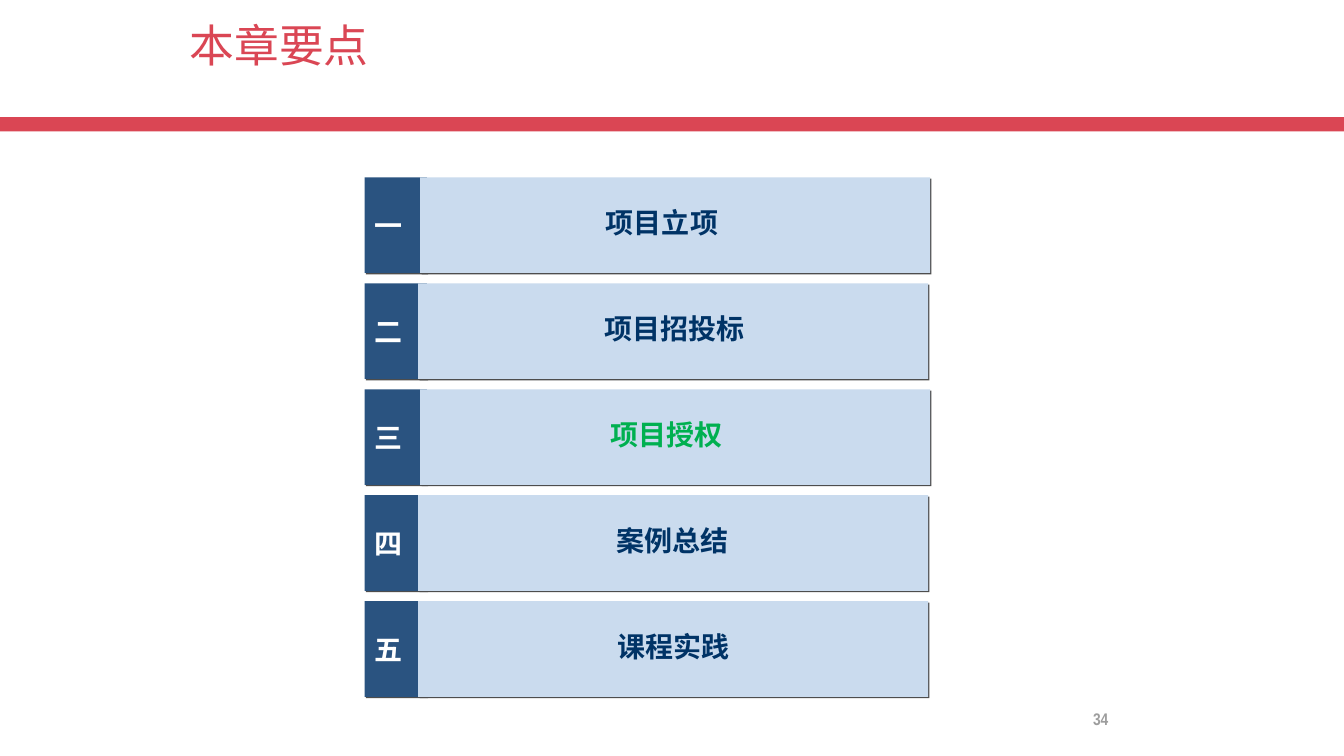
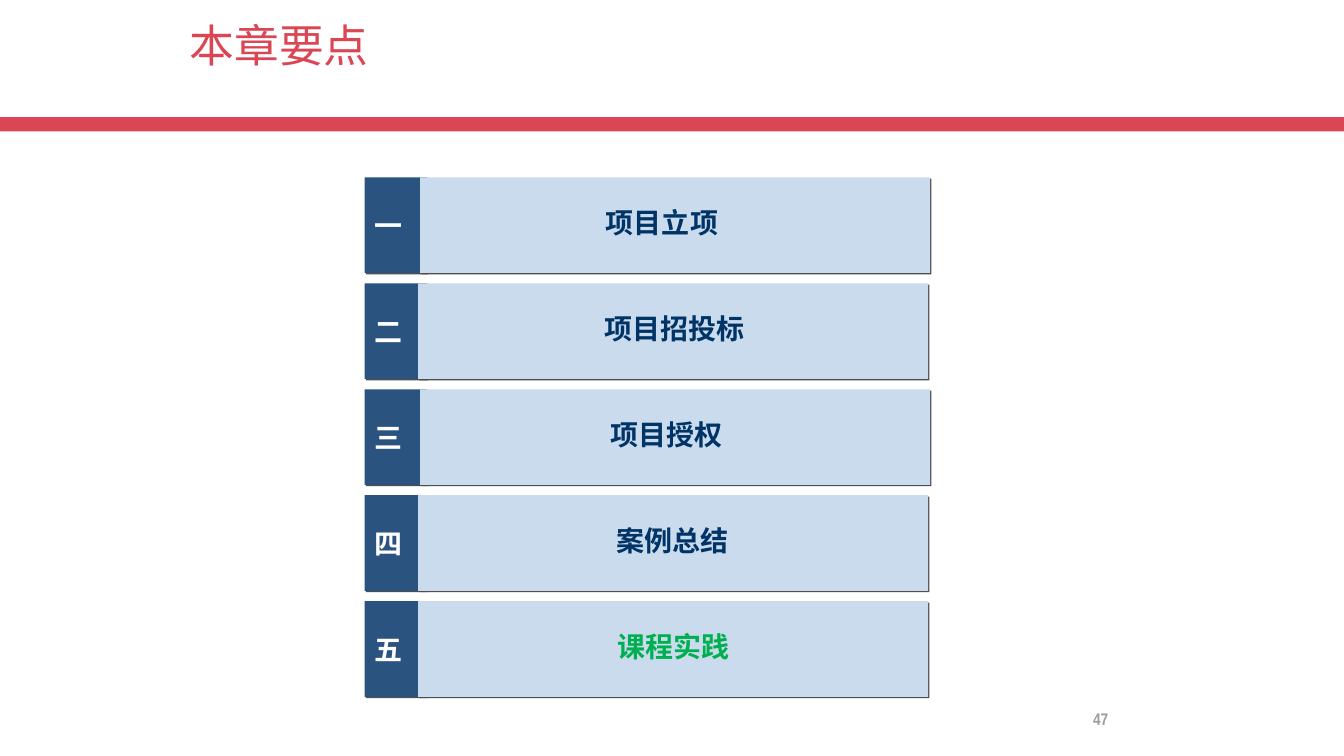
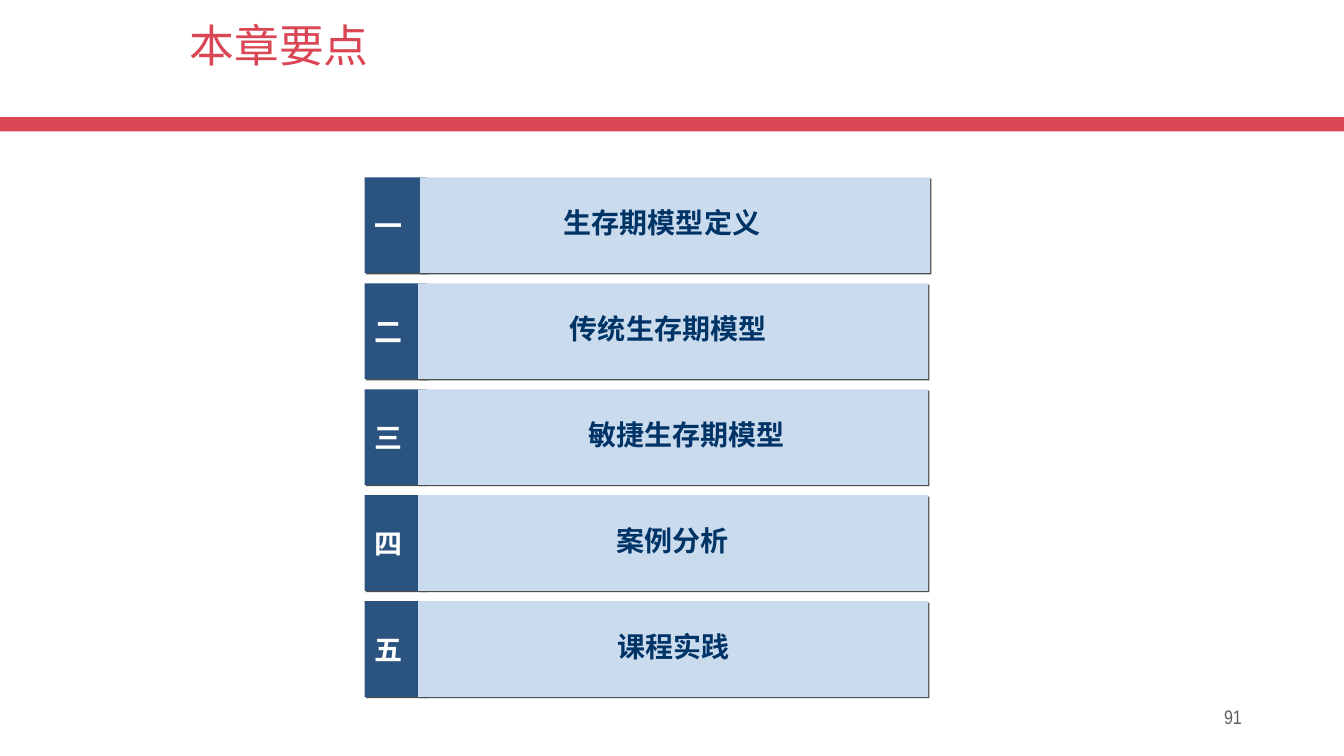
from lxml import etree
from pptx import Presentation
from pptx.dml.color import RGBColor
from pptx.enum.shapes import MSO_SHAPE
from pptx.enum.text import MSO_ANCHOR, MSO_AUTO_SIZE, PP_ALIGN
from pptx.oxml.ns import qn
from pptx.util import Cm, Pt

RECT, ROUNDED = MSO_SHAPE.RECTANGLE, MSO_SHAPE.ROUNDED_RECTANGLE
TOP, MIDDLE = MSO_ANCHOR.TOP, MSO_ANCHOR.MIDDLE
LEFT, CENTER, RIGHT = PP_ALIGN.LEFT, PP_ALIGN.CENTER, PP_ALIGN.RIGHT
NO_AUTOFIT = MSO_AUTO_SIZE.NONE
TITLE_ONLY = 5

RED, NAVY, PALE = "DA4654", "2A5380", "CADBEE"
INK, GREEN, WHITE, SHADOW = "003366", "00B050", "FFFFFF", "4D4D4D"
CJK, NARROW = "Noto Sans CJK SC", "Arial Narrow"

TITLE_TEXT = dict(size=32, color=RED, bold=False, anchor=TOP, spacing=0.9)
NUMBER_TEXT = dict(size=20, color=WHITE, bold=True)
LABEL_TEXT = dict(size=20, bold=True, align=CENTER)
BOLD_PAGE = dict(size=12, color="9D9D9D", bold=True, font=NARROW,
                 align=CENTER, spacing=0.8)
PLAIN_PAGE = dict(size=14, color="5F5F5F", font=NARROW, align=RIGHT, anchor=TOP)

NUMERALS = "一二三四五"
FIRST_ROW, ROW_PITCH, ROW_HEIGHT = 4.47, 2.67, 2.41
NUMBER_LEFT, NUMBER_WIDTH = 9.19, 1.57
WIDE_BAR, NARROW_BAR, BAR_WIDTH = 10.59, 10.54, 12.85
LABEL_DROP, LABEL_HEIGHT = 0.27, 1.73

# Each row: left of bar, left and width of label, extra right inset of label
PROJECT_ROWS = [
    (WIDE_BAR, 10.59, 12.19, 0),
    (NARROW_BAR, 11, 12.19, 0.17),
    (WIDE_BAR, 10.8, 12.01, 0),
    (NARROW_BAR, 11.51, 11.2, 0.34),
    (NARROW_BAR, 11.38, 11.2, 0),
]
MODEL_ROWS = PROJECT_ROWS.copy()
MODEL_ROWS[1] = (NARROW_BAR, 11, 12.19, 0.51)
MODEL_ROWS[2] = (NARROW_BAR, 11.02, 12.9, 0.34)

PROJECT_TOPICS = ["项目立项", "项目招投标", "项目授权", "案例总结", "课程实践"]
MODEL_TOPICS = ["生存期模型定义", "传统生存期模型", "敏捷生存期模型",
                "案例分析", "课程实践"]


def rgb(code):
    return RGBColor.from_string(code)


class Deck:
    def __init__(self):
        self.prs = Presentation()
        self.prs.slide_width, self.prs.slide_height = Cm(33.87), Cm(19.05)
        self.layout = self.prs.slide_layouts[TITLE_ONLY]
        self.slide = None

    def add_slide(self, title):
        self.slide = self.prs.slides.add_slide(self.layout)
        if len(self.prs.slides) == 1:
            self.share_band()
        heading = self.slide.shapes.title
        place = dict(left=4.52, top=0.46, width=21.59, height=3.18)
        for side, length in place.items():
            setattr(heading, side, Cm(length))
        self.set_text(heading, title, **TITLE_TEXT)

    def share_band(self):
        """Draw the red band once and move it to the layout."""
        band = self.block(RECT, 0, 2.95, 33.87, 0.36, RED)
        self.layout.shapes.element.insert(2, band.element)

    def block(self, kind, left, top, width, height, fill=None):
        shape = self.slide.shapes.add_shape(
            kind, Cm(left), Cm(top), Cm(width), Cm(height))
        shape.shadow.inherit = False
        shape.line.fill.background()
        if fill:
            shape.fill.solid()
            shape.fill.fore_color.rgb = rgb(fill)
        else:
            shape.fill.background()
        return shape

    def shadowed_block(self, left, top, width, fill):
        shape = self.block(RECT, left, top, width, ROW_HEIGHT, fill)
        effects = shape.element.spPr.find(qn("a:effectLst"))
        shadow = etree.SubElement(effects, qn("a:outerShdw"), blurRad="0",
                                  dist=str(int(Pt(1.4))), dir="2700000",
                                  algn="ctr", rotWithShape="0")
        etree.SubElement(shadow, qn("a:srgbClr"), val=SHADOW)
        return shape

    def set_text(self, shape, text, size, color, bold=False, font=CJK,
                 align=LEFT, anchor=MIDDLE, spacing=1.0, extra_right=0):
        frame = shape.text_frame
        frame.text = text
        paragraph = frame.paragraphs[0]
        run = paragraph.runs[0]
        formats = [
            (frame, dict(word_wrap=True, auto_size=NO_AUTOFIT,
                         vertical_anchor=anchor,
                         margin_right=Cm(0.25 + extra_right))),
            (paragraph, dict(alignment=align, line_spacing=spacing)),
            (run.font, dict(name=font, size=Pt(size), bold=bold)),
        ]
        for target, values in formats:
            for name, value in values.items():
                setattr(target, name, value)
        run.font.color.rgb = rgb(color)
        etree.SubElement(run.font._element, qn("a:ea"), typeface=font)

    def agenda(self, topics, rows, current=None):
        """Draw the numbered topics, with the current one in green."""
        for i, (numeral, topic, row) in enumerate(zip(NUMERALS, topics, rows)):
            bar_left, label_left, label_width, extra_right = row
            top = FIRST_ROW + i * ROW_PITCH
            number = self.shadowed_block(NUMBER_LEFT, top, NUMBER_WIDTH, NAVY)
            self.set_text(number, numeral, **NUMBER_TEXT)
            self.shadowed_block(bar_left, top, BAR_WIDTH, PALE)
            label = self.block(ROUNDED, label_left, top + LABEL_DROP,
                               label_width, LABEL_HEIGHT)
            color = GREEN if topic == current else INK
            self.set_text(label, topic, color=color, extra_right=extra_right,
                          **LABEL_TEXT)

    def page_number(self, number, style):
        footer = self.slide.shapes.add_textbox(
            Cm(23.93), Cm(17.65), Cm(7.62), Cm(1.02))
        self.set_text(footer, str(number), **style)


def main():
    deck = Deck()
    chapters = [
        (PROJECT_TOPICS, PROJECT_ROWS, "项目授权", 34, BOLD_PAGE),
        (PROJECT_TOPICS, PROJECT_ROWS, "课程实践", 47, BOLD_PAGE),
        (MODEL_TOPICS, MODEL_ROWS, None, 91, PLAIN_PAGE),
    ]
    for topics, rows, current, page, page_style in chapters:
        deck.add_slide("本章要点")
        deck.agenda(topics, rows, current)
        deck.page_number(page, page_style)
    deck.prs.save("out.pptx")


if __name__ == "__main__":
    main()
